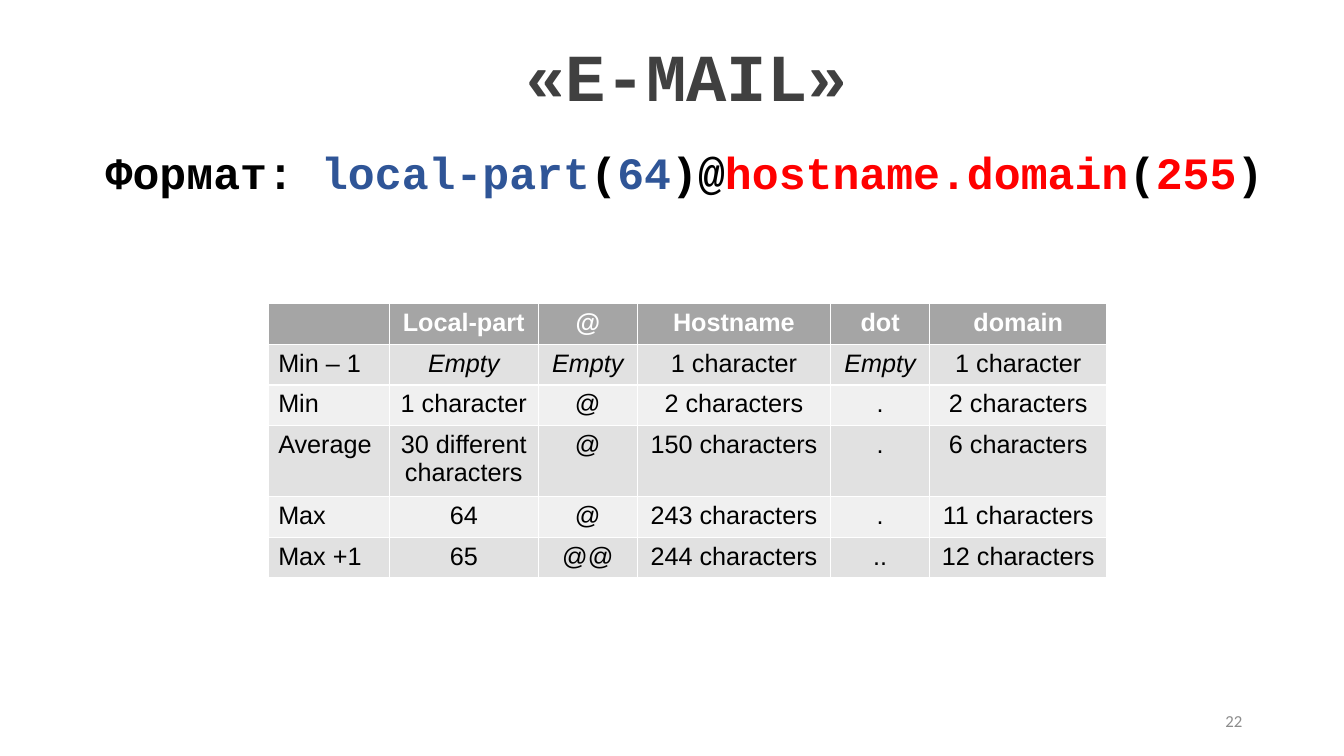
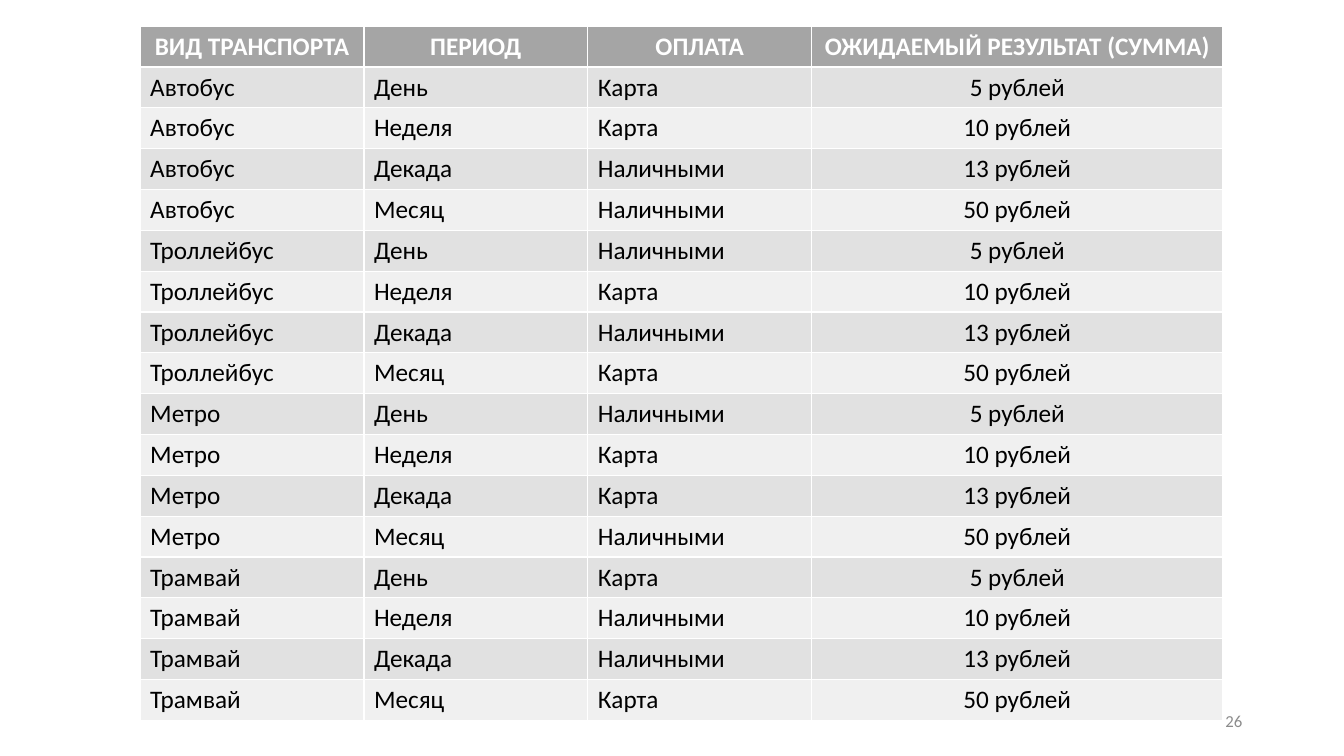
from pptx import Presentation
from pptx.dml.color import RGBColor
from pptx.enum.text import MSO_ANCHOR, PP_ALIGN
from pptx.util import Inches, Pt

LEFT, MID, RIGHT = PP_ALIGN.LEFT, PP_ALIGN.CENTER, PP_ALIGN.RIGHT
MIDDLE = MSO_ANCHOR.MIDDLE

# Shared style
WHITE, BLACK, BLUE, RED = "FFFFFF", "000000", "2F5597", "FF0000"
HEAD, BANDS = "A5A5A5", ("E1E1E1", "F0F0F0")
DARK, GREY = "404040", "8C8C8C"
SANS, BODY, MONO = "Arial", "Calibri", "Courier New"

# Content: e-mail slide
TITLE = [("«E-MAIL»", DARK)]
FORMAT = [
    ("Формат: ", BLACK), ("local-part", BLUE), ("(", BLACK), ("64", BLUE),
    (")@", BLACK), ("hostname.domain", RED), ("(", BLACK), ("255", RED),
    (")", BLACK),
]
LIMITS = [
    ("", "Local-part", "@", "Hostname", "dot", "domain"),
    ("Min – 1", "Empty", "Empty", "1 character", "Empty", "1 character"),
    ("Min", "1 character", "@", "2 characters", ".", "2 characters"),
    ("Average", "30 different characters", "@", "150 characters", ".",
     "6 characters"),
    ("Max", "64", "@", "243 characters", ".", "11 characters"),
    ("Max +1", "65", "@@", "244 characters", "..", "12 characters"),
]

# Content: fares slide
CARD, CASH = "Карта", "Наличными"
FARES = [("День", 5), ("Неделя", 10), ("Декада", 13), ("Месяц", 50)]
MODES = [
    ("Автобус", (CARD, CARD, CASH, CASH)),
    ("Троллейбус", (CASH, CARD, CASH, CARD)),
    ("Метро", (CASH, CARD, CARD, CASH)),
    ("Трамвай", (CARD, CASH, CASH, CARD)),
]
TRIPS = [("ВИД ТРАНСПОРТА", "ПЕРИОД", "ОПЛАТА", "ОЖИДАЕМЫЙ РЕЗУЛЬТАТ (СУММА)")]
TRIPS += [(mode, term, pay, f"{cost} рублей")
          for mode, pays in MODES
          for (term, cost), pay in zip(FARES, pays)]


def style(run, font, size, color, bold=False):
    run.font.name = font
    run.font.size = Pt(size)
    run.font.bold = bold
    run.font.color.rgb = RGBColor.from_string(color)


def add_text(slide, at, parts, font, size, bold=False, align=LEFT, wrap=False):
    """Add one line of text made of (words, colour) parts."""
    frame = slide.shapes.add_textbox(*map(Inches, at)).text_frame
    frame.word_wrap = wrap
    para = frame.paragraphs[0]
    para.alignment = align
    for words, color in parts:
        run = para.add_run()
        run.text = words
        style(run, font, size, color, bold)
    return frame


def add_grid(slide, at, widths, rows, font, aligns):
    """Add a banded table; its style draws the white rules."""
    table = slide.shapes.add_table(
        len(rows), len(widths), *map(Inches, at)).table
    for col, width in zip(table.columns, widths):
        col.width = Inches(width)
    for r, row in enumerate(rows):
        top = r == 0
        for c, words in enumerate(row):
            cell = table.cell(r, c)
            cell.fill.solid()
            fill = HEAD if top else BANDS[(r - 1) % 2]
            cell.fill.fore_color.rgb = RGBColor.from_string(fill)
            para = cell.text_frame.paragraphs[0]
            para.text = words
            para.alignment = MID if top else aligns[c]
            for run in para.runs:
                style(run, font, 18, WHITE if top else BLACK, top)
                run.font.italic = words == "Empty"


def add_page(deck, number):
    """Add a blank slide with its page number."""
    slide = deck.slides.add_slide(deck.slide_layouts[6])
    frame = add_text(slide, (9.42, 6.95, 3, 0.4), [(str(number), GREY)],
                     BODY, 12, align=RIGHT, wrap=True)
    frame.vertical_anchor = MIDDLE
    return slide


def main():
    deck = Presentation()
    deck.slide_width, deck.slide_height = Inches(13.33), Inches(7.5)

    # E-mail limits
    slide = add_page(deck, 22)
    add_text(slide, (5.11, 0.29, 3.43, 0.91), TITLE, MONO, 48, bold=True)
    add_text(slide, (0.95, 1.39, 11.81, 0.64), FORMAT, MONO, 32, bold=True)
    add_grid(slide, (2.66, 3.01, 8.32, 2.43),
             (1.2, 1.48, 0.98, 1.92, 0.98, 1.76), LIMITS, SANS,
             [LEFT] + [MID] * 5)

    # Transport fares
    slide = add_page(deck, 26)
    add_grid(slide, (1.39, 0.26, 10.74, 6.89), [2.22] * 3 + [4.08],
             TRIPS, BODY, [LEFT] * 3 + [MID])

    deck.save("out.pptx")


if __name__ == "__main__":
    main()
